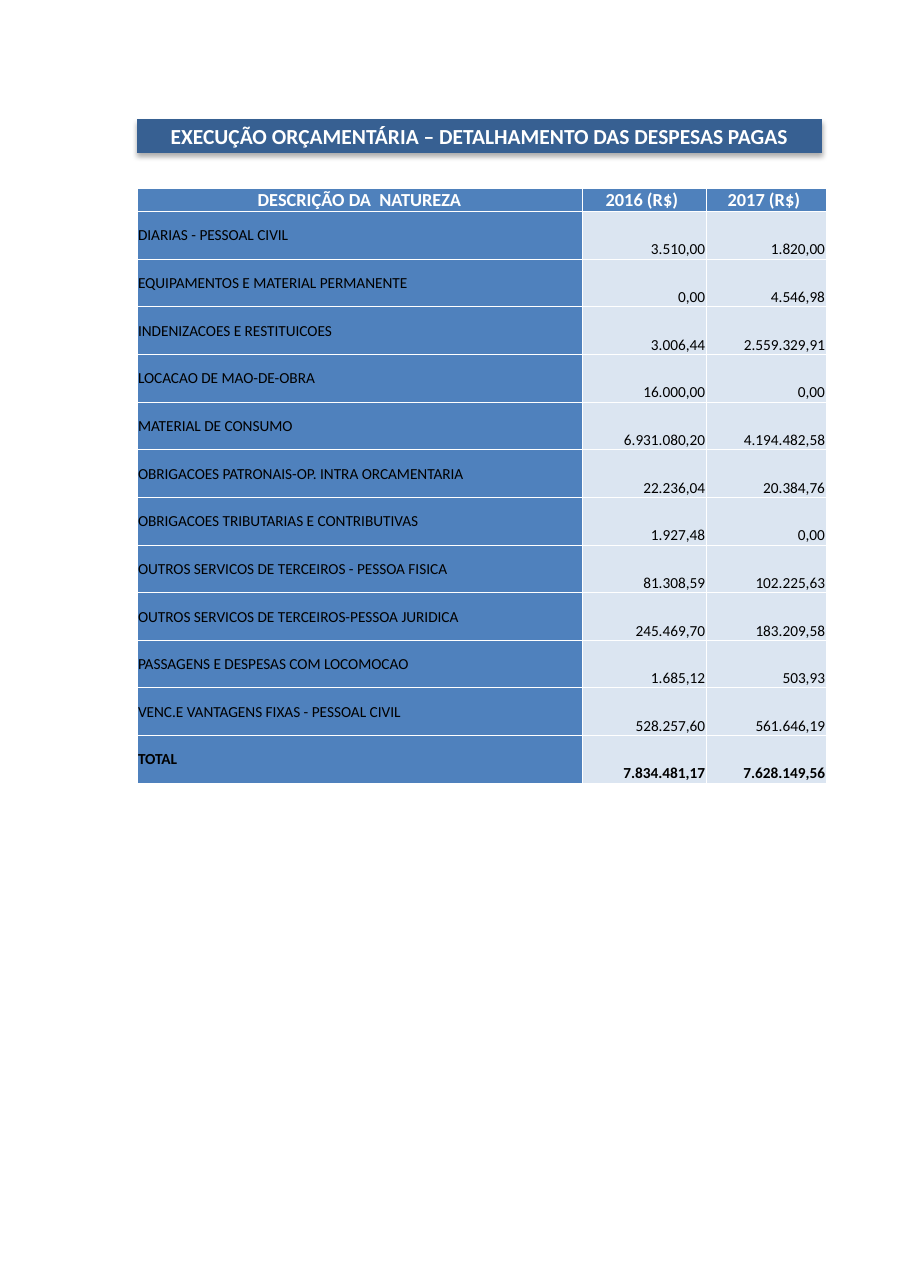
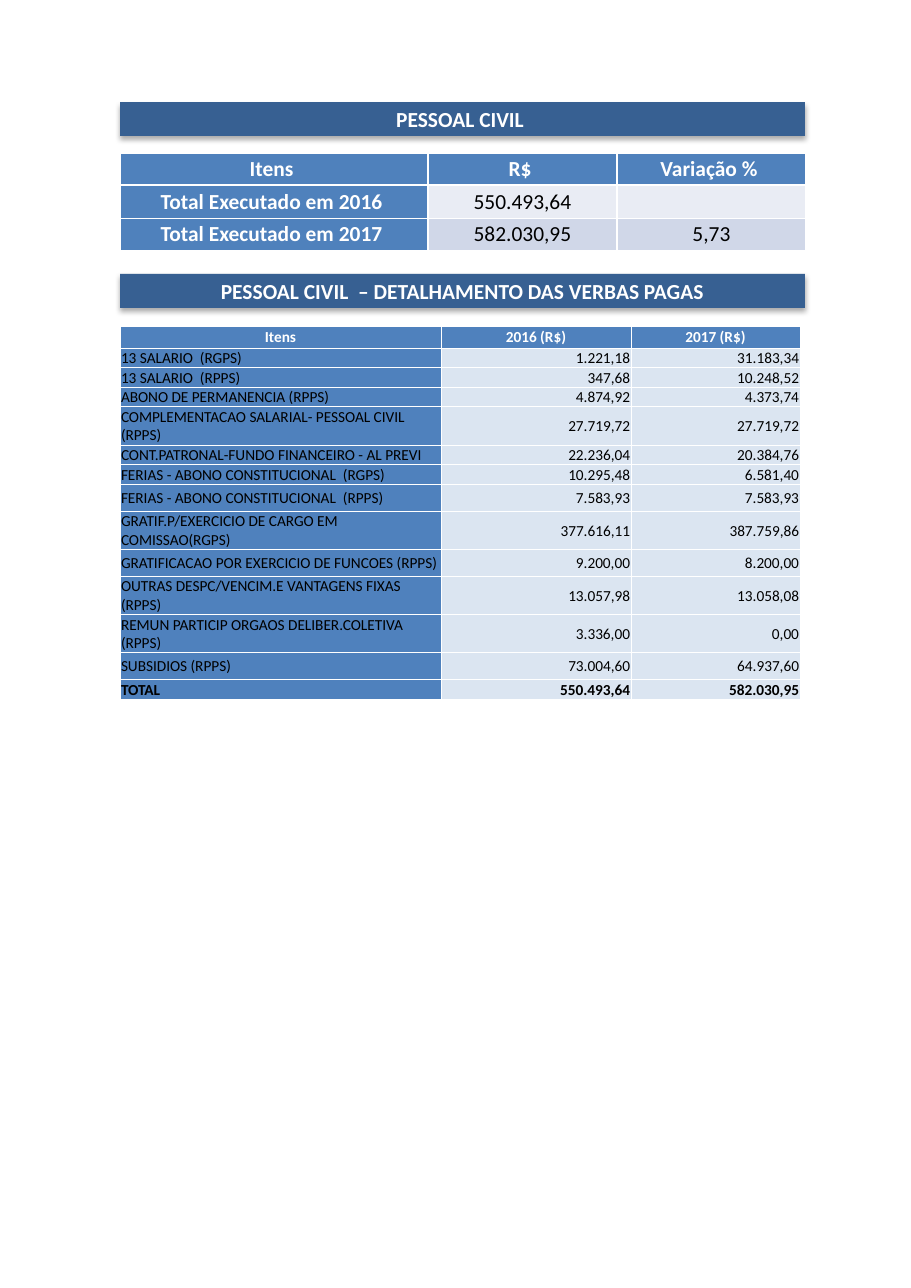
from dataclasses import dataclass, replace

from lxml.etree import SubElement
from pptx import Presentation
from pptx.dml.color import RGBColor
from pptx.enum.shapes import MSO_SHAPE
from pptx.enum.text import MSO_ANCHOR as ANC, MSO_AUTO_SIZE, PP_ALIGN as AL
from pptx.oxml import parse_xml
from pptx.oxml.ns import nsdecls, qn
from pptx.util import Emu, Pt

SCALE = 914400 / 110.2
FONT = "Calibri"
WHITE, BLACK = "FFFFFF", "000000"
BAND, BLUE, HEAD_BLUE, PALE = "376092", "4F81BD", "4F81BC", "DBE5F1"
BAND_W, BAND_H = 685, 34


@dataclass(frozen=True)
class CellStyle:
    """Look of a table cell; edges are left, right, top and bottom widths in points."""
    fill: str
    color: str = BLACK
    size: int = 10
    bold: bool = False
    align: AL = AL.LEFT
    anchor: ANC = ANC.MIDDLE
    inset: int = 1
    edges: tuple[float, ...] = (0.5,) * 4


@dataclass(frozen=True)
class TableSpec:
    """Place, sizes, texts and row styles (label, value) of a table."""
    left: int
    top: int
    cols: list[int]
    heights: list[float]
    rows: list[tuple[str, ...]]
    styles: list[tuple[CellStyle, CellStyle]]


def px(n: float) -> Emu:
    """Turn pixels into EMU."""
    return Emu(round(n * SCALE))


def rgb(value: str) -> RGBColor:
    """Turn a hex string into a colour."""
    return RGBColor.from_string(value)


def write(tf, text: str, size: int, color: str, bold: bool, align: AL) -> None:
    """Set and format the text of a frame."""
    tf.text = text
    p = tf.paragraphs[0]
    p.alignment = align
    for r in p.runs:
        r.font.name, r.font.size, r.font.bold = FONT, Pt(size), bold
        r.font.color.rgb = rgb(color)


def format_band(s, left: int, top: int, text: str) -> None:
    """Turn a shape into a heading band with a soft shadow."""
    s.left, s.top, s.width, s.height = map(px, (left, top, BAND_W, BAND_H))
    s.fill.solid()
    s.fill.fore_color.rgb = rgb(BAND)
    s.line.fill.background()
    s.shadow.inherit = False
    s._element.spPr.find(qn("a:effectLst")).append(parse_xml(
        f'<a:outerShdw {nsdecls("a")} blurRad="44450" dist="27940" dir="5400000" '
        'algn="ctr" rotWithShape="0"><a:srgbClr val="000000">'
        '<a:alpha val="32000"/></a:srgbClr></a:outerShdw>'))
    tf = s.text_frame
    tf.word_wrap, tf.auto_size = True, MSO_AUTO_SIZE.NONE
    tf.vertical_anchor = ANC.MIDDLE
    write(tf, text, 14, WHITE, True, AL.CENTER)


def add_band(slide, left: int, top: int, text: str) -> None:
    """Add a further heading band to a slide."""
    s = slide.shapes.add_shape(MSO_SHAPE.RECTANGLE, 0, 0, px(BAND_W), px(BAND_H))
    format_band(s, left, top, text)


def add_slide(prs, left: int, top: int, title: str):
    """Add a slide whose title is a heading band."""
    slide = prs.slides.add_slide(prs.slide_layouts[5])
    format_band(slide.shapes.title, left, top, title)
    return slide


def format_cell(cell, text: str, style: CellStyle) -> None:
    """Fill a cell with text, colour and borders."""
    cell.margin_left = cell.margin_right = cell.margin_top = px(style.inset)
    cell.margin_bottom = 0
    cell.vertical_anchor = style.anchor
    cell.fill.solid()
    cell.fill.fore_color.rgb = rgb(style.fill)
    write(cell.text_frame, text, style.size, style.color, style.bold, style.align)
    tc_pr = cell._tc.get_or_add_tcPr()
    for i, (side, width) in enumerate(zip("LRTB", style.edges)):
        ln = SubElement(tc_pr, qn(f"a:ln{side}"), w=str(Pt(width)))
        SubElement(SubElement(ln, qn("a:solidFill")), qn("a:srgbClr"), val=WHITE)
        tc_pr.insert(i, ln)


def add_table(slide, spec: TableSpec) -> None:
    """Draw a table on a slide."""
    table = slide.shapes.add_table(
        len(spec.rows), len(spec.cols), px(spec.left), px(spec.top),
        px(sum(spec.cols)), px(sum(spec.heights))).table
    table.first_row = table.horz_banding = False
    for col, width in zip(table.columns, spec.cols):
        col.width = px(width)
    for row, height, texts, (label, value) in zip(
            table.rows, spec.heights, spec.rows, spec.styles):
        row.height = px(height)
        for i, (cell, text) in enumerate(zip(row.cells, texts)):
            format_cell(cell, text, value if i else label)


def detail_styles(head: CellStyle, value_anchor: ANC, total_anchor: ANC,
                  count: int) -> list[tuple[CellStyle, CellStyle]]:
    """Give the row styles of a detail table: header, items and bold total."""
    label = CellStyle(BLUE)
    value = CellStyle(PALE, align=AL.RIGHT, anchor=value_anchor)
    total = (replace(label, bold=True, anchor=total_anchor),
             replace(value, bold=True, anchor=ANC.BOTTOM))
    return [(head, head), *[(label, value)] * (count - 2), total]


EXPENSES = [
    ("DESCRIÇÃO DA  NATUREZA", "2016 (R$) ", "2017 (R$) "),
    ("DIARIAS - PESSOAL CIVIL", "3.510,00", "1.820,00"),
    ("EQUIPAMENTOS E MATERIAL PERMANENTE", "0,00", "4.546,98"),
    ("INDENIZACOES E RESTITUICOES", "3.006,44", "2.559.329,91"),
    ("LOCACAO DE MAO-DE-OBRA", "16.000,00", "0,00"),
    ("MATERIAL DE CONSUMO", "6.931.080,20", "4.194.482,58"),
    ("OBRIGACOES PATRONAIS-OP. INTRA ORCAMENTARIA", "22.236,04", "20.384,76"),
    ("OBRIGACOES TRIBUTARIAS E CONTRIBUTIVAS", "1.927,48", "0,00"),
    ("OUTROS SERVICOS DE TERCEIROS - PESSOA FISICA", "81.308,59", "102.225,63"),
    ("OUTROS SERVICOS DE TERCEIROS-PESSOA JURIDICA", "245.469,70", "183.209,58"),
    ("PASSAGENS E DESPESAS COM LOCOMOCAO", "1.685,12", "503,93"),
    ("VENC.E VANTAGENS FIXAS - PESSOAL CIVIL", "528.257,60", "561.646,19"),
    ("TOTAL", "7.834.481,17", "7.628.149,56"),
]
SUMMARY = [
    ("Itens ", "R$ ", "Variação % "),
    ("Total Executado em 2016 ", "550.493,64", ""),
    ("Total Executado em 2017 ", "582.030,95", "5,73"),
]
PAYROLL = [
    ("Itens", "2016 (R$)", "2017 (R$)"),
    ("13 SALARIO  (RGPS)", "1.221,18", "31.183,34"),
    ("13 SALARIO  (RPPS)", "347,68", "10.248,52"),
    ("ABONO DE PERMANENCIA (RPPS)", "4.874,92", "4.373,74"),
    ("COMPLEMENTACAO SALARIAL- PESSOAL CIVIL (RPPS)", "27.719,72", "27.719,72"),
    ("CONT.PATRONAL-FUNDO FINANCEIRO - AL PREVI", "22.236,04", "20.384,76"),
    ("FERIAS - ABONO CONSTITUCIONAL  (RGPS)", "10.295,48", "6.581,40"),
    ("FERIAS - ABONO CONSTITUCIONAL  (RPPS)", "7.583,93", "7.583,93"),
    ("GRATIF.P/EXERCICIO DE CARGO EM COMISSAO(RGPS)", "377.616,11", "387.759,86"),
    ("GRATIFICACAO POR EXERCICIO DE FUNCOES (RPPS)", "9.200,00", "8.200,00"),
    ("OUTRAS DESPC/VENCIM.E VANTAGENS FIXAS (RPPS)", "13.057,98", "13.058,08"),
    ("REMUN PARTICIP ORGAOS DELIBER.COLETIVA (RPPS)", "3.336,00", "0,00"),
    ("SUBSIDIOS (RPPS)", "73.004,60", "64.937,60"),
    ("TOTAL", "550.493,64", "582.030,95"),
]


def build_expenses(prs) -> None:
    """Build the slide of paid expenses."""
    slide = add_slide(prs, 137, 119,
                      "EXECUÇÃO ORÇAMENTÁRIA – DETALHAMENTO DAS DESPESAS PAGAS")
    head = CellStyle(HEAD_BLUE, WHITE, 12, True, AL.CENTER)
    items = len(EXPENSES) - 1
    add_table(slide, TableSpec(
        137, 188, [445, 124, 120], [23, *[572 / items] * items], EXPENSES,
        detail_styles(head, ANC.BOTTOM, ANC.MIDDLE, len(EXPENSES))))


def build_payroll(prs) -> None:
    """Build the slide of civil staff costs."""
    slide = add_slide(prs, 120, 102, "PESSOAL CIVIL ")
    add_band(slide, 120, 274, "PESSOAL CIVIL  – DETALHAMENTO DAS VERBAS PAGAS")
    head = CellStyle(HEAD_BLUE, WHITE, 14, True, AL.CENTER, inset=0,
                     edges=(1, 1, 1, 1.5))
    first = replace(head, edges=(1, 1, 1.5, 1))
    last = replace(head, edges=(1,) * 4)
    styles = [(head, head)] + [
        (label, replace(label, fill=fill, color=BLACK, bold=False))
        for label, fill in ((first, "E9ECF4"), (last, "D0D7E8"))]
    add_table(slide, TableSpec(120, 153, [308, 189, 189], [32, 33, 32],
                               SUMMARY, styles))
    one, roomy, two = 19, 27, 38
    heights = [22, one, one, one, two, one, one, roomy, two, roomy, two, two,
               roomy, one]
    small_head = CellStyle(BLUE, WHITE, 10, True, AL.CENTER)
    add_table(slide, TableSpec(
        120, 326, [321, 190, 169], heights, PAYROLL,
        detail_styles(small_head, ANC.MIDDLE, ANC.BOTTOM, len(PAYROLL))))


def main() -> None:
    """Build and save the presentation."""
    prs = Presentation()
    prs.slide_width, prs.slide_height = px(911), px(1288)
    build_expenses(prs)
    build_payroll(prs)
    prs.save("out.pptx")


main()
